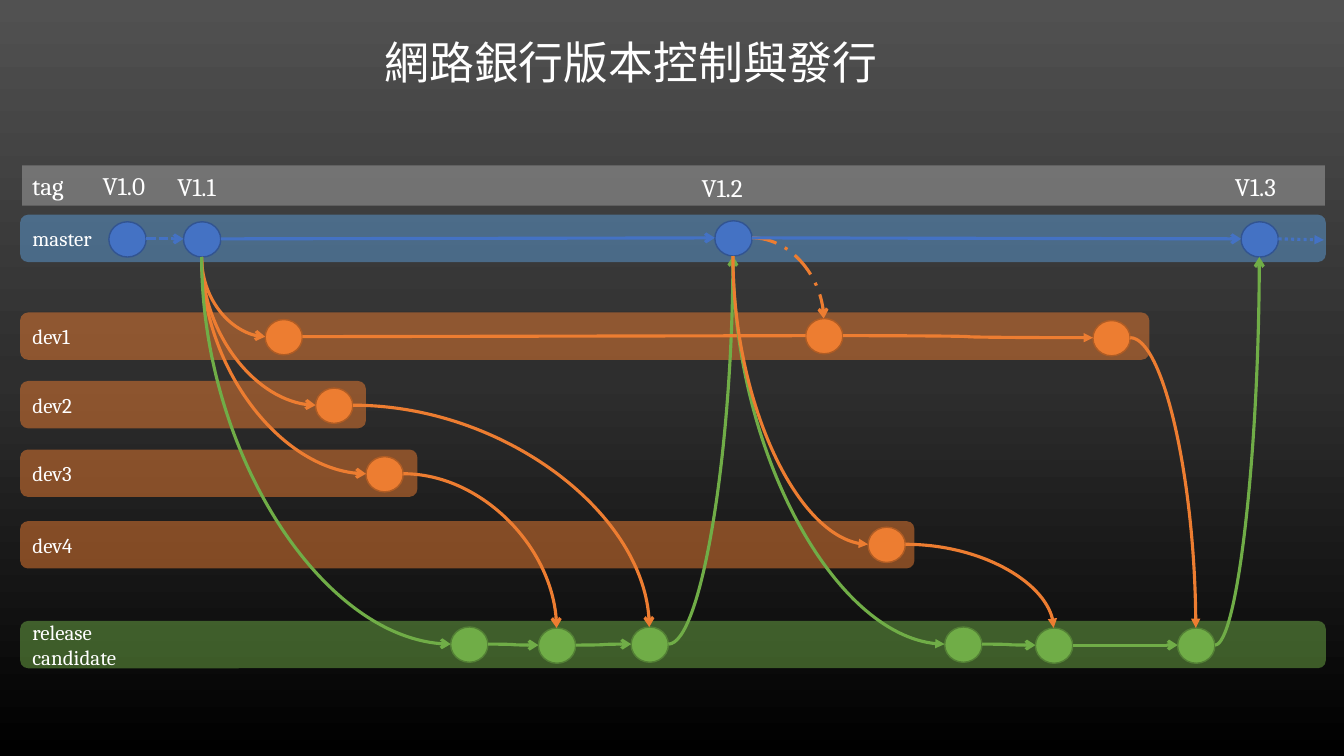
import copy
import dataclasses
import enum
import typing

import lxml.etree
import pptx
import pptx.dml.color
import pptx.enum.dml
import pptx.enum.shapes
import pptx.enum.text
import pptx.oxml.ns
import pptx.util

SCALE = 9144  # EMU in one px, 100 px to the inch
BLUE, ORANGE, GREEN, WHITE = "4472C4", "ED7D31", "70AD47", "FFFFFF"
OUTLINES = {BLUE: "325491", ORANGE: "AF5C24", GREEN: "538035"}
DOT_W, DOT_H = 37, 35
LANE_X, LANE_H = 20, 47

qn = pptx.oxml.ns.qn
SHAPE = pptx.enum.shapes.MSO_SHAPE
CONNECTOR = pptx.enum.shapes.MSO_CONNECTOR
DASH = pptx.enum.dml.MSO_LINE
ALIGN = pptx.enum.text.PP_ALIGN
ANCHOR = pptx.enum.text.MSO_ANCHOR


class Site(enum.IntEnum):
    """Connection sites of a commit dot."""
    TOP = 0
    LEFT = 2
    BOTTOM = 4
    RIGHT = 6


class Kind(enum.Enum):
    LINE = "line"
    WAVE = "curvedConnector3"
    BEND = "curvedConnector2"


@dataclasses.dataclass(frozen=True)
class Lane:
    label: str
    top: int
    width: int
    color: str


@dataclasses.dataclass(frozen=True)
class Commit:
    name: str
    left: int
    top: int
    color: str

    def site(self, site: Site) -> tuple[int, int]:
        dx, dy = {Site.TOP: (DOT_W // 2, 0), Site.LEFT: (0, DOT_H // 2),
                  Site.BOTTOM: (DOT_W // 2, DOT_H), Site.RIGHT: (DOT_W, DOT_H // 2)}[site]
        return self.left + dx, self.top + dy


@dataclasses.dataclass(frozen=True)
class Flow:
    start: str
    end: str
    color: str
    kind: Kind = Kind.BEND
    out: Site = Site.RIGHT
    into: Site = Site.LEFT
    head: str | None = "arrow"
    dash: typing.Any = None


LANES = [
    Lane("dev4", 517, 887, ORANGE),
    Lane("dev3", 446, 394, ORANGE),
    Lane("master", 213, 1295, "5B9BD5"),
    Lane("dev2", 378, 343, ORANGE),
    Lane("dev1", 310, 1120, ORANGE),
    Lane("release\ncandidate", 616, 1295, GREEN),
]
COMMITS = [
    Commit("v1.0", 108, 220, BLUE), Commit("v1.1", 182, 220, BLUE),
    Commit("v1.2", 709, 219, BLUE), Commit("v1.3", 1231, 220, BLUE),
    Commit("dev1 a", 263, 317, ORANGE), Commit("dev1 b", 799, 316, ORANGE),
    Commit("dev1 c", 1084, 318, ORANGE), Commit("dev2", 313, 385, ORANGE),
    Commit("dev3", 363, 453, ORANGE), Commit("dev4", 861, 523, ORANGE),
    Commit("rc1", 447, 622, GREEN), Commit("rc2", 534, 623, GREEN),
    Commit("rc3", 626, 622, GREEN), Commit("rc4", 937, 622, GREEN),
    Commit("rc5", 1027, 623, GREEN), Commit("rc6", 1168, 623, GREEN),
]
FLOWS = [
    Flow("v1.0", "v1.1", BLUE, Kind.LINE, dash=DASH.SQUARE_DOT),
    Flow("v1.1", "dev1 a", ORANGE, out=Site.BOTTOM),
    Flow("v1.1", "dev2", ORANGE, out=Site.BOTTOM),
    Flow("v1.1", "dev3", ORANGE, out=Site.BOTTOM),
    Flow("v1.1", "rc1", GREEN, out=Site.BOTTOM),
    Flow("rc3", "v1.2", GREEN, into=Site.BOTTOM),
    Flow("v1.1", "v1.2", BLUE, Kind.LINE),
    Flow("rc1", "rc2", GREEN, Kind.WAVE),
    Flow("dev3", "rc2", ORANGE, into=Site.TOP),
    Flow("dev2", "rc3", ORANGE, into=Site.TOP),
    Flow("rc2", "rc3", GREEN, Kind.WAVE),
    Flow("dev1 a", "dev1 b", ORANGE, Kind.LINE, head=None),
    Flow("v1.2", "dev1 b", ORANGE, into=Site.TOP, dash=DASH.LONG_DASH_DOT),
    Flow("v1.2", "rc4", GREEN, out=Site.BOTTOM, head="triangle"),
    Flow("v1.2", "dev4", ORANGE, out=Site.BOTTOM, head="triangle"),
    Flow("dev1 c", "rc6", ORANGE, into=Site.TOP, head="triangle"),
    Flow("dev4", "rc5", ORANGE, into=Site.TOP, head="triangle"),
    Flow("rc4", "rc5", GREEN, Kind.WAVE),
    Flow("rc5", "rc6", GREEN, Kind.WAVE),
    Flow("v1.2", "v1.3", BLUE, Kind.LINE),
    Flow("rc6", "v1.3", GREEN, into=Site.BOTTOM),
    Flow("dev1 b", "dev1 c", ORANGE, Kind.WAVE, head="triangle"),
]
TAGS = [("V1.1", 166, 165), ("V1.0", 92, 164), ("V1.3", 1215, 165), ("V1.2", 686, 166)]


def px(*lengths: float) -> list[pptx.util.Emu]:
    return [pptx.util.Emu(round(n * SCALE)) for n in lengths]


def rgb(color: str) -> pptx.dml.color.RGBColor:
    return pptx.dml.color.RGBColor.from_string(color)


def write(sp, text: str, *, size: int, font: str = "Cambria", align=ALIGN.LEFT,
          anchor=ANCHOR.TOP, wrap: bool = True) -> None:
    tf = sp.text_frame
    tf.word_wrap = wrap
    tf.vertical_anchor = anchor
    for i, line in enumerate(text.split("\n")):
        p = tf.add_paragraph() if i else tf.paragraphs[0]
        p.alignment = align
        r = p.add_run()
        r.text = line
        r.font.size = pptx.util.Pt(size)
        r.font.name = font
        r.font.color.rgb = rgb(WHITE)
        lxml.etree.SubElement(r.font._element, qn("a:ea"), typeface=font)


def add_block(s, shape, box: tuple[int, int, int, int], color: str,
              outline: str | None = None):
    """Add a filled shape; without an outline it is half transparent."""
    sp = s.shapes.add_shape(shape, *px(*box))
    sp.shadow.inherit = False
    sp.fill.solid()
    sp.fill.fore_color.rgb = rgb(color)
    if outline:
        sp.line.color.rgb = rgb(outline)
        sp.line.width = pptx.util.Pt(1)
    else:
        sp.line.fill.background()
        clr = sp.element.spPr.find(".//" + qn("a:srgbClr"))
        lxml.etree.SubElement(clr, qn("a:alpha"), val="50000")
    return sp


def add_line(s, start: tuple[int, int], end: tuple[int, int], color: str,
             kind: Kind, head: str | None, dash=None):
    straight = kind is Kind.LINE
    cxn = s.shapes.add_connector(CONNECTOR.STRAIGHT if straight else CONNECTOR.CURVE,
                                 *px(*start, *end))
    if not straight:
        cxn.element.spPr.find(qn("a:prstGeom")).set("prst", kind.value)
    cxn.line.color.rgb = rgb(color)
    cxn.line.width = pptx.util.Pt(2.25)
    if dash is not None:
        cxn.line.dash_style = dash
    if head:
        lxml.etree.SubElement(cxn.element.spPr.find(qn("a:ln")), qn("a:tailEnd"), type=head)
    lxml.etree.SubElement(cxn.element.spPr, qn("a:effectLst"))
    return cxn


def add_flow(s, flow: Flow, commits: dict[str, Commit], dots: dict) -> None:
    """Draw a connector and glue it to the dots at both its ends."""
    x1, y1 = commits[flow.start].site(flow.out)
    x2, y2 = commits[flow.end].site(flow.into)
    cxn = add_line(s, (x1, y1), (x2, y2), flow.color, flow.kind, flow.head, flow.dash)
    if flow.out is Site.BOTTOM:  # a bend that leaves downwards is turned and mirrored
        w, h = y2 - y1, x2 - x1
        cxn.left, cxn.top, cxn.width, cxn.height = px(
            (x1 + x2 - w) / 2, (y1 + y2 - h) / 2, w, h)
        xfrm = cxn.element.spPr.find(qn("a:xfrm"))
        xfrm.set("rot", "16200000")
        xfrm.set("flipH", "1")
    glue = cxn.element.find(".//" + qn("p:cNvCxnSpPr"))
    for tag, name, site in (("a:stCxn", flow.start, flow.out), ("a:endCxn", flow.end, flow.into)):
        lxml.etree.SubElement(glue, qn(tag), id=str(dots[name].shape_id), idx=str(site.value))


def paint_background(s) -> None:
    fill = s.background.fill
    fill.gradient()
    fill.gradient_angle = 270
    first = s.element.find(".//" + qn("a:gs"))
    first.addnext(copy.deepcopy(first))
    for stop, (position, color) in zip(
            fill.gradient_stops, [(0, "515151"), (0.5, "2E2E2E"), (1, "000000")]):
        stop.position = position
        stop.color.rgb = rgb(color)


def main() -> None:
    prs = pptx.Presentation()
    prs.slide_width, prs.slide_height = px(1333, 750)
    s = prs.slides.add_slide(prs.slide_layouts[6])
    paint_background(s)

    write(add_block(s, SHAPE.RECTANGLE, (22, 164, 1292, 40), "A5A5A5"), "tag", size=18)
    for lane in LANES:
        sp = add_block(s, SHAPE.ROUNDED_RECTANGLE, (LANE_X, lane.top, lane.width, LANE_H), lane.color)
        write(sp, lane.label, size=15, anchor=ANCHOR.MIDDLE)

    dots = {c.name: add_block(s, SHAPE.FLOWCHART_CONNECTOR, (c.left, c.top, DOT_W, DOT_H),
                              c.color, OUTLINES[c.color]) for c in COMMITS}
    commits = {c.name: c for c in COMMITS}
    for flow in FLOWS:
        add_flow(s, flow, commits, dots)
    add_line(s, commits["v1.3"].site(Site.RIGHT), (1313, 238), BLUE, Kind.LINE,
             "triangle", DASH.ROUND_DOT)

    for text, left, top in TAGS:
        write(s.shapes.add_textbox(*px(left, top, 69, 40)), text, size=18)
    write(s.shapes.add_textbox(*px(369, 30, 514, 64)), "網路銀行版本控制與發行", size=32,
          font="Noto Sans CJK SC", align=ALIGN.CENTER, wrap=False)
    prs.save("out.pptx")


if __name__ == "__main__":
    main()
